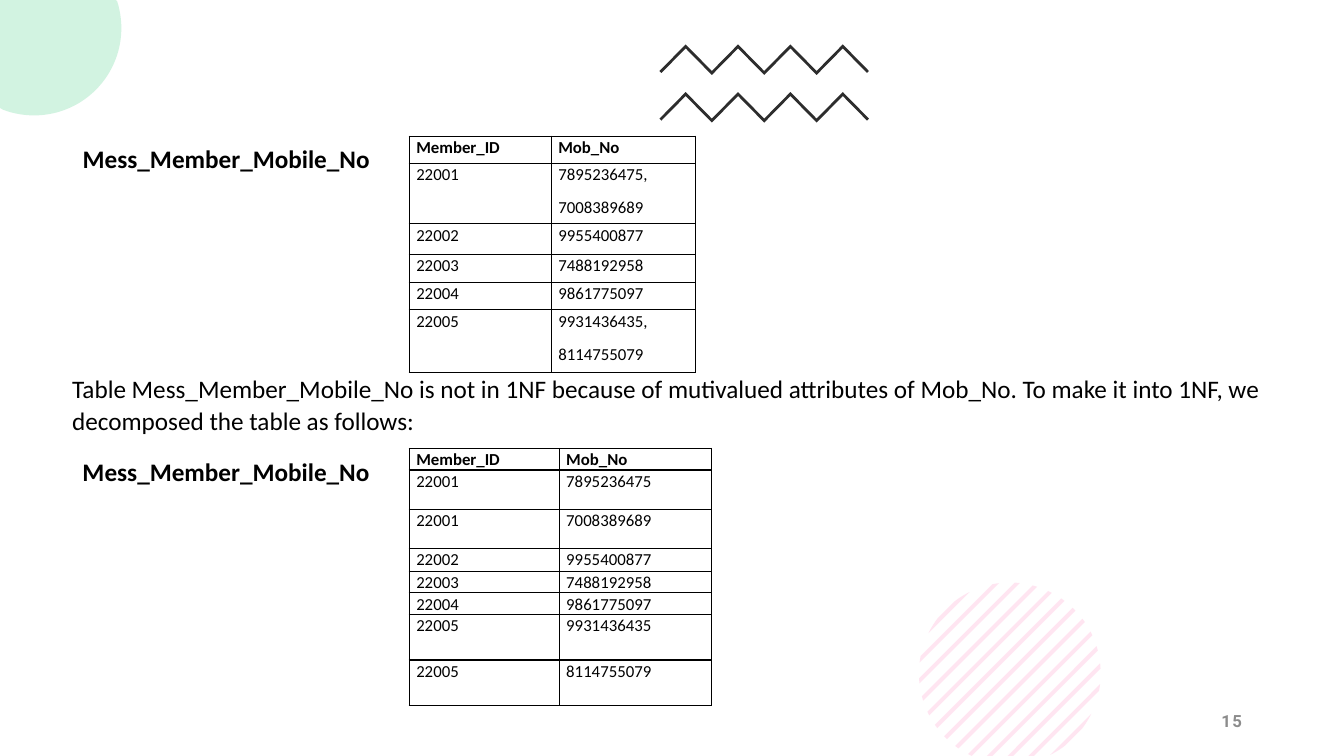
from dataclasses import dataclass
from math import acos, cos, pi, sin

from lxml import etree
from pptx import Presentation
from pptx import util as u
from pptx.dml.color import RGBColor
from pptx.enum import text
from pptx.oxml.ns import qn

Cm, Pt = u.Cm, u.Pt
SLIDE_W, SLIDE_H = 33.87, 19.05


@dataclass(frozen=True)
class Theme:
    ink: str = "000000"
    zigzag: str = "2D2D2D"
    green: str = "21C46B"
    pink: str = "FF80BD"
    grey: str = "8C8C8C"
    body_font: str = "Calibri"
    number_font: str = "Roboto"
    body_size: int = 18
    small_size: int = 12
    border: float = 1
    tint: int = 20


THEME = Theme()
TABLE_NAME = "Mess_Member_Mobile_No"
HEADER = ("Member_ID", "Mob_No")
EXPLANATION = (
    "Table Mess_Member_Mobile_No is not in 1NF because of mutivalued attributes "
    "of Mob_No. To make it into 1NF, we decomposed the table as follows:"
)
MOBILES = {
    "22001": ("7895236475", "7008389689"),
    "22002": ("9955400877",),
    "22003": ("7488192958",),
    "22004": ("9861775097",),
    "22005": ("9931436435", "8114755079"),
}


def set_all(obj, values):
    for name, value in values.items():
        setattr(obj, name, value)


def write(tf, lines, size=THEME.body_size, bold=False, font=THEME.body_font,
          color=THEME.ink, align=text.PP_ALIGN.LEFT, spacing=1.07, after=8):
    """Put one paragraph per line into a text frame."""
    for i, line in enumerate(lines):
        p = tf.paragraphs[0] if i == 0 else tf.add_paragraph()
        set_all(p, {"alignment": align, "line_spacing": spacing,
                    "space_before": Pt(0), "space_after": Pt(after)})
        r = p.add_run()
        r.text = line
        set_all(r.font, {"size": Pt(size), "bold": bold, "name": font})
        r.font.color.rgb = RGBColor.from_string(color)


def place(sp, left, top, width, height):
    set_all(sp, {"left": Cm(left), "top": Cm(top),
                 "width": Cm(width), "height": Cm(height)})


def add_text(slide, box, line, sp=None, **style):
    """Fill the given placeholder, or a new text box, with one line of text."""
    sp = sp or slide.shapes.add_textbox(0, 0, 0, 0)
    place(sp, *box)
    set_all(sp.text_frame, {"word_wrap": True,
                            "auto_size": text.MSO_AUTO_SIZE.SHAPE_TO_FIT_TEXT,
                            "vertical_anchor": text.MSO_ANCHOR.TOP})
    write(sp.text_frame, [line], **style)
    return sp


def add_border(cell):
    tc_pr = cell._tc.get_or_add_tcPr()
    for i, side in enumerate(("lnL", "lnR", "lnT", "lnB")):
        ln = etree.Element(qn(f"a:{side}"), w=str(Pt(THEME.border)))
        fill = etree.SubElement(ln, qn("a:solidFill"))
        etree.SubElement(fill, qn("a:srgbClr"), val=THEME.ink)
        tc_pr.insert(i, ln)


def add_grid(slide, left, top, widths, heights, rows):
    """Add a bordered table; every cell is a sequence of lines."""
    frame = slide.shapes.add_table(len(heights), len(widths), Cm(left), Cm(top),
                                   Cm(sum(widths)), Cm(sum(heights)))
    table = frame.table
    set_all(table, {"first_row": False, "horz_banding": False})
    for column, width in zip(table.columns, widths):
        column.width = Cm(width)
    for i, (row, height, cells) in enumerate(zip(table.rows, heights, rows)):
        row.height = Cm(height)
        for cell, lines in zip(row.cells, cells):
            set_all(cell, {"margin_left": Cm(0.18), "margin_right": Cm(0.18),
                           "margin_top": 0, "margin_bottom": 0})
            cell.fill.background()
            add_border(cell)
            write(cell.text_frame, lines, size=THEME.small_size, bold=i == 0)


def add_outline(shapes, points, color, opacity=100):
    """Add a filled polygon through points given in centimetres."""
    points = [(Cm(x), Cm(y)) for x, y in points]
    builder = shapes.build_freeform(*points[0])
    builder.add_line_segments(points[1:], close=True)
    sp = builder.convert_to_shape()
    sp.shadow.inherit = False
    sp.line.fill.background()
    sp.fill.solid()
    sp.fill.fore_color.rgb = RGBColor.from_string(color)
    if opacity < 100:
        clr = sp.fill._xPr.find(qn("a:solidFill"))[0]
        etree.SubElement(clr, qn("a:alpha"), val=str(opacity * 1000))


def add_corner_circle(slide, cx, cy, radius, steps=120):
    """Add a disc cut off by the top and left slide edges."""
    angles = [2 * pi * i / steps for i in range(steps)]
    points = [(max(0, cx + radius * cos(a)), max(0, cy + radius * sin(a)))
              for a in angles]
    add_outline(slide.shapes, points, THEME.green, THEME.tint)


def add_striped_circle(slide, cx, cy, radius, pitch, half, count=13, steps=6):
    """Add diagonal stripes bounded by a circle and the slide's bottom edge."""
    group = slide.shapes.add_group_shape()
    for i in range(count):
        middle = (i - count // 2) * pitch
        near, far = (acos(max(-1, min(1, (middle + d) / radius)))
                     for d in (-half, half))
        arc = [near + (far - near) * j / steps for j in range(steps + 1)]
        points = []
        for a in arc + [-a for a in reversed(arc)]:
            x, y = cx + radius * cos(pi / 4 + a), cy + radius * sin(pi / 4 + a)
            over = max(0, y - SLIDE_H)
            points.append((x + over, y - over))
        add_outline(group.shapes, points, THEME.pink, THEME.tint)


def add_zigzags(slide, left, tops, step=0.66, rise=0.67, thick=0.1, teeth=4):
    group = slide.shapes.add_group_shape()
    for top in tops:
        upper = [(left + i * step, top + rise * (1 - i % 2))
                 for i in range(2 * teeth + 1)]
        lower = [(x, y + thick) for x, y in upper[1:-1]]
        (x0, y0), (x1, y1) = upper[0], upper[-1]
        cut = thick / 2
        lower = [(x0 + cut, y0 + cut), *lower, (x1 - cut, y1 + cut)]
        add_outline(group.shapes, upper + lower[::-1], THEME.zigzag)


def add_slide_number(slide, box, number):
    sp = add_text(slide, box, number, size=THEME.small_size, bold=True,
                  font=THEME.number_font, color=THEME.grey,
                  align=text.PP_ALIGN.RIGHT, spacing=1, after=0)
    set_all(sp.text_frame, {"auto_size": text.MSO_AUTO_SIZE.NONE,
                            "vertical_anchor": text.MSO_ANCHOR.MIDDLE})
    sp.text_frame.paragraphs[0].runs[0].font._element.set("spc", "100")


def main():
    prs = Presentation()
    set_all(prs, {"slide_width": Cm(SLIDE_W), "slide_height": Cm(SLIDE_H)})
    slide = prs.slides.add_slide(prs.slide_layouts[5])

    add_striped_circle(slide, 25.45, 16.97, 2.29, pitch=0.37, half=0.05)
    add_zigzags(slide, 16.62, tops=(1.12, 2.32))
    add_corner_circle(slide, 0.86, 0.71, 2.2)
    add_slide_number(slide, (23.93, 17.65, 7.62, 1.02), "15")

    header = [[name] for name in HEADER]
    grouped = [([member], ",\n".join(numbers).split("\n"))
               for member, numbers in MOBILES.items()]
    single = [([member], [number])
              for member, numbers in MOBILES.items() for number in numbers]

    add_text(slide, (1.83, 3.43, 16.92, 1.04), TABLE_NAME,
             sp=slide.shapes.title, bold=True)
    add_grid(slide, 10.31, 3.43, (3.58, 3.63),
             (0.69, 1.52, 0.77, 0.71, 0.69, 1.57), [header, *grouped])
    add_text(slide, (1.57, 9.22, 30.73, 1.85), EXPLANATION)
    add_grid(slide, 10.31, 11.3, (3.78, 3.84),
             (0.52, 0.99, 0.99, 0.57, 0.54, 0.52, 1.15, 1.15), [header, *single])
    add_text(slide, (1.83, 11.33, 16.92, 1.04), TABLE_NAME, bold=True)

    prs.save("out.pptx")


if __name__ == "__main__":
    main()
